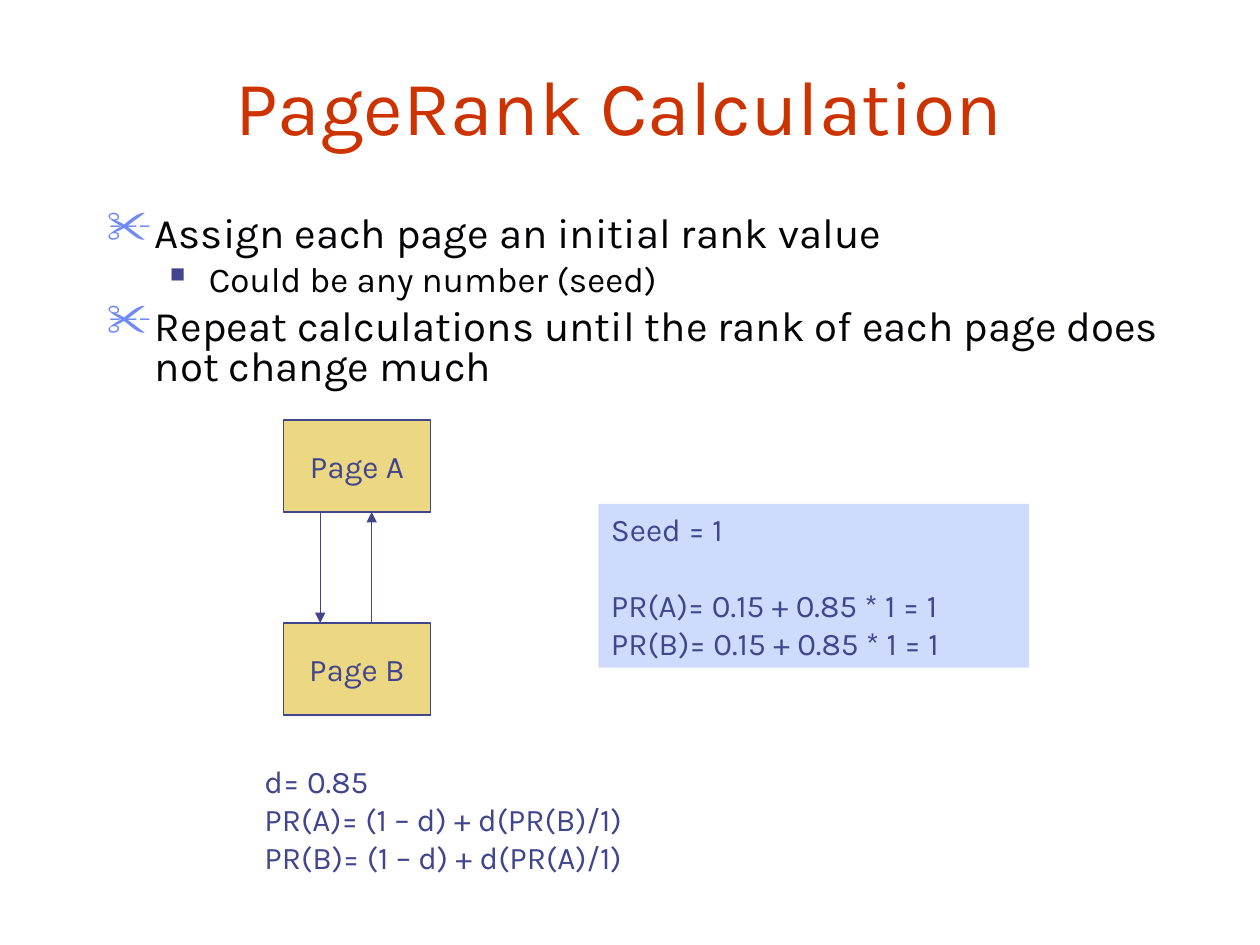
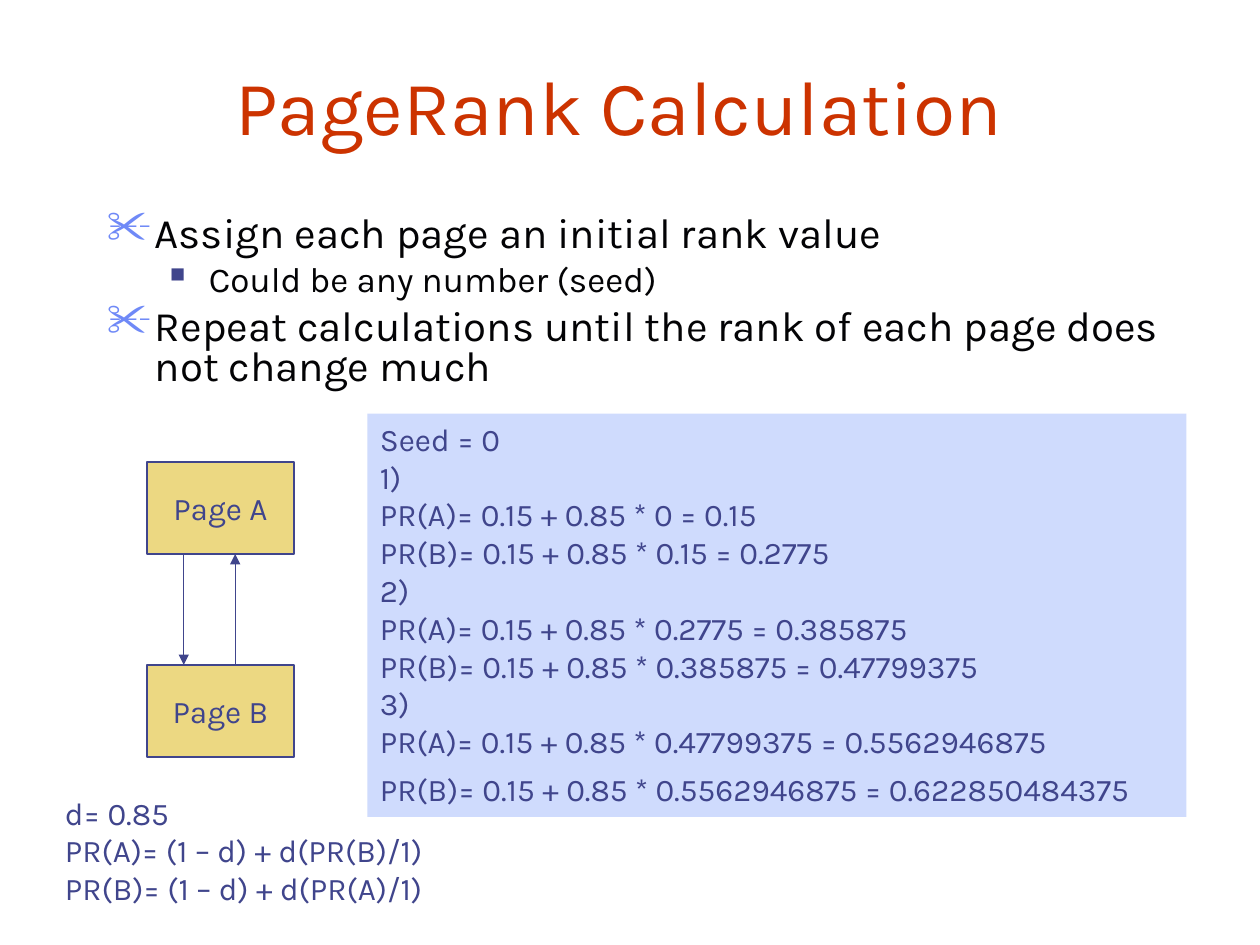
from lxml.etree import SubElement
from pptx import Presentation
from pptx.dml.color import RGBColor
from pptx.enum.shapes import MSO_CONNECTOR, MSO_SHAPE
from pptx.enum.text import MSO_ANCHOR, PP_ALIGN
from pptx.oxml.ns import qn
from pptx.util import Inches, Pt

COLORS = {"title": "CC3300", "body": "030305", "ink": "40458C",
          "mark": "6F89F7", "page": "ECD882", "panel": "CFDBFD"}
FONT = "Karla"
UNIT = Inches(1) // 12
COLS, ROWS = 120, 90
LINE = 21.6

LEVELS = [
    {"size": 24, "left": 0.38, "hang": 0.38, "gap": 6, "char": "✂", "color": "mark", "scale": 110},
    {"size": 20, "left": 0.81, "hang": 0.31, "gap": 5, "char": "■", "color": "ink", "scale": 60},
]
POINTS = [
    (0, "Assign each page an initial rank value"),
    (1, "Could be any number (seed)"),
    (0, "Repeat calculations until the rank of each page does not change much"),
]
RULES = ["d= 0.85", "PR(A)= (1 – d) + d(PR(B)/1)", "PR(B)= (1 – d) + d(PR(A)/1)"]

SLIDES = [
    {"pages": (27, 40, 14, 28.1), "rules": (24, 72, 46, 12), "panel": (57, 48, 41, 15.6),
     "gaps": {1: LINE},
     "steps": ["Seed = 1", "PR(A)= 0.15 + 0.85 * 1 = 1", "PR(B)= 0.15 + 0.85 * 1 = 1"]},
    {"pages": (14, 44, 14, 28.1), "rules": (5, 75, 46, 12), "panel": (35, 39.4, 78, 38.4),
     "gaps": {9: 5.7},
     "steps": ["Seed = 0",
               "1)", "PR(A)= 0.15 + 0.85 * 0 = 0.15",
               "PR(B)= 0.15 + 0.85 * 0.15 = 0.2775",
               "2)", "PR(A)= 0.15 + 0.85 * 0.2775 = 0.385875",
               "PR(B)= 0.15 + 0.85 * 0.385875 = 0.47799375",
               "3)", "PR(A)= 0.15 + 0.85 * 0.47799375 = 0.5562946875",
               "PR(B)= 0.15 + 0.85 * 0.5562946875 = 0.622850484375"]},
]


def tint(name):
    """Return the named colour."""
    return RGBColor.from_string(COLORS[name])


def scale(box):
    """Turn grid units into lengths."""
    return [round(part * UNIT) for part in box]


def style(para, size, color):
    """Format every run of a paragraph."""
    for run in para.runs:
        run.font.name = FONT
        run.font.size = Pt(size)
        run.font.color.rgb = tint(color)


def write(frame, lines, size=18, color="ink", align=PP_ALIGN.LEFT, wrap=True):
    """Fill a text frame with evenly styled lines."""
    frame.word_wrap = wrap
    frame.text = "\n".join(lines)
    for para in frame.paragraphs:
        para.alignment = align
        style(para, size, color)


def block(shapes, box, fill):
    """Add a filled box without an outline."""
    shape = shapes.add_shape(MSO_SHAPE.RECTANGLE, *box)
    shape.shadow.inherit = False
    shape.fill.solid()
    shape.fill.fore_color.rgb = tint(fill)
    shape.line.fill.background()
    return shape


def mark(para, level):
    """Give a paragraph its bullet and indent."""
    props = para._p.get_or_add_pPr()
    props.set("marL", str(Inches(level["left"])))
    props.set("indent", str(-Inches(level["hang"])))
    color = SubElement(props, qn("a:buClr"))
    SubElement(color, qn("a:srgbClr"), val=COLORS[level["color"]])
    SubElement(props, qn("a:buSzPct"), val=str(level["scale"] * 1000))
    SubElement(props, qn("a:buChar"), char=level["char"])


def arrow(shapes, x, start, end):
    """Draw an upright arrow from start to end."""
    line = shapes.add_connector(MSO_CONNECTOR.STRAIGHT, x, start, x, end)
    line.line.color.rgb = tint("ink")
    line.line.width = Pt(0.75)
    SubElement(line.line._get_or_add_ln(), qn("a:tailEnd"), type="triangle")
    SubElement(line._element.spPr, qn("a:effectLst"))


def add_title(slide, box):
    """Place the slide title."""
    frame = slide.shapes.add_textbox(*scale(box)).text_frame
    frame.vertical_anchor = MSO_ANCHOR.BOTTOM
    write(frame, ["PageRank Calculation"], 44, "title", PP_ALIGN.CENTER)


def add_points(slide, box):
    """Place the bullet list."""
    frame = slide.shapes.add_textbox(*scale(box)).text_frame
    write(frame, [text for _, text in POINTS], color="body")
    for i, (para, (depth, _)) in enumerate(zip(frame.paragraphs, POINTS)):
        level = LEVELS[depth]
        para.level = depth
        para.line_spacing = 0.8
        para.space_before = Pt(level["gap"] if i else 0)
        mark(para, level)
        style(para, level["size"], "body")


def add_pages(slide, box):
    """Draw two pages that link to each other."""
    left, top, width, height = scale(box)
    tall = round(height * 0.312)
    low = top + height - tall
    shapes = slide.shapes.add_group_shape().shapes
    for name, y in (("Page A", top), ("Page B", low)):
        page = block(shapes, (left, y, width, tall), "page")
        page.line.color.rgb = tint("ink")
        page.line.width = Pt(0.75)
        page.text_frame.vertical_anchor = MSO_ANCHOR.MIDDLE
        write(page.text_frame, [name], align=PP_ALIGN.CENTER, wrap=False)
    arrow(shapes, left + round(width * 0.25), top + tall, low)
    arrow(shapes, left + round(width * 0.6), low, top + tall)


def add_rules(slide, box):
    """Place the rank formulas."""
    write(slide.shapes.add_textbox(*scale(box)).text_frame, RULES)


def add_panel(slide, box, steps, gaps):
    """Place the worked steps on a tinted panel."""
    frame = block(slide.shapes, scale(box), "panel").text_frame
    frame.vertical_anchor = MSO_ANCHOR.TOP
    write(frame, steps)
    for i, gap in gaps.items():
        frame.paragraphs[i].space_before = Pt(gap)


def build(deck, plan):
    """Build one slide from its plan."""
    slide = deck.slides.add_slide(deck.slide_layouts[6])
    add_points(slide, (9, 20, 105, 18))
    add_title(slide, (8, 4, 102, 11))
    add_pages(slide, plan["pages"])
    add_rules(slide, plan["rules"])
    add_panel(slide, plan["panel"], plan["steps"], plan["gaps"])


def main():
    """Build and save the deck."""
    deck = Presentation()
    deck.slide_width, deck.slide_height = COLS * UNIT, ROWS * UNIT
    for plan in SLIDES:
        build(deck, plan)
    deck.save("out.pptx")


if __name__ == "__main__":
    main()
